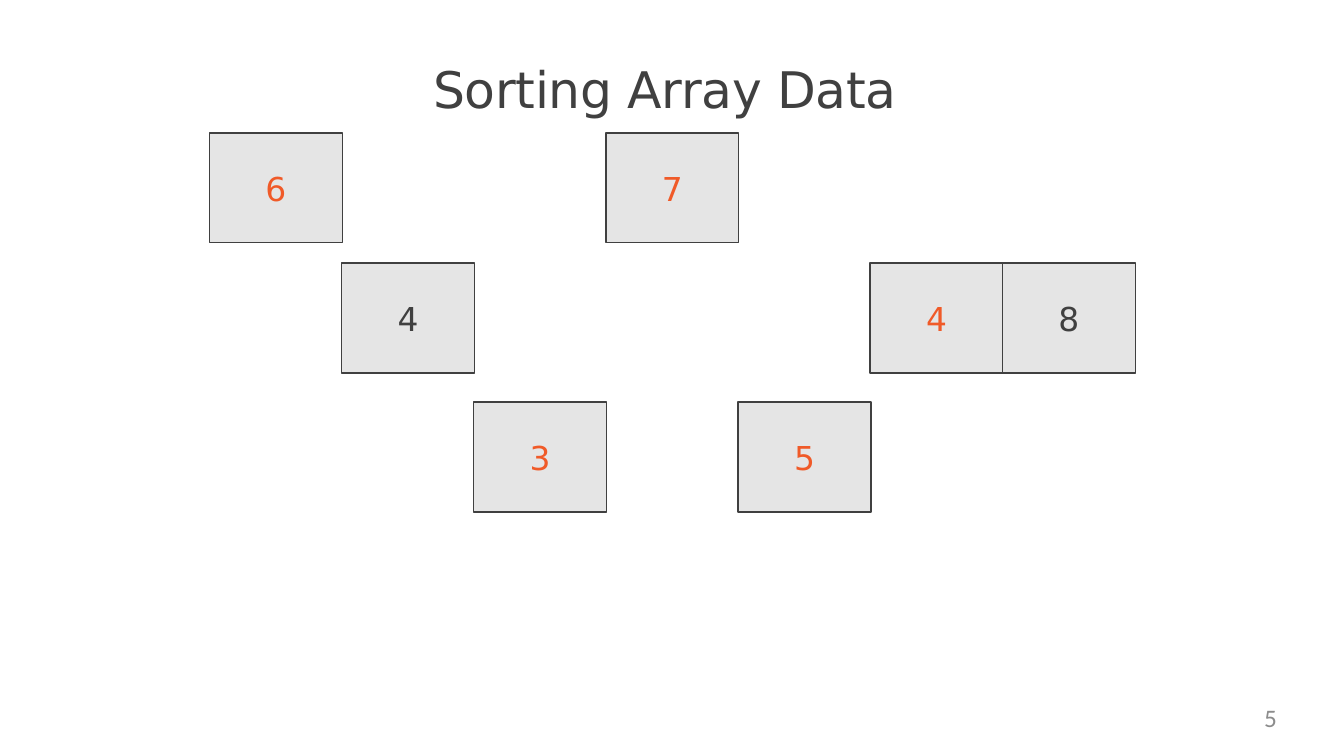
from dataclasses import dataclass
from typing import Any

from pptx import Presentation
from pptx.dml.color import RGBColor
from pptx.enum.shapes import MSO_SHAPE
from pptx.enum.text import MSO_ANCHOR as Anchor, MSO_AUTO_SIZE as AutoSize, PP_ALIGN as Align
from pptx.util import Cm, Pt

DARK = RGBColor(0x40, 0x40, 0x40)
ORANGE = RGBColor(0xF0, 0x5A, 0x28)
LIGHT = RGBColor(0xE5, 0xE5, 0xE5)
GRAY = RGBColor(0x8C, 0x8C, 0x8C)
FONT = "DejaVu Sans"

ARRAY_LEFT, COLUMN_STEP = 5.28, 3.33
CELL_W, CELL_H = Cm(3.35), Cm(2.77)
ROW_TOPS = (3.35, 6.63, 10.13)


@dataclass(frozen=True)
class ArrayCell:
    value: str
    row: int
    color: RGBColor


# One cell per array position, left to right
CELLS = (
    ArrayCell("6", 0, ORANGE),
    ArrayCell("4", 1, DARK),
    ArrayCell("3", 2, ORANGE),
    ArrayCell("7", 0, ORANGE),
    ArrayCell("5", 2, ORANGE),
    ArrayCell("4", 1, ORANGE),
    ArrayCell("8", 1, DARK),
)


def set_attributes(target: Any, **values: Any) -> None:
    for name, value in values.items():
        setattr(target, name, value)


def write_text(shape: Any, text: str, size: float, color: RGBColor, font: str = FONT,
               align: Align = Align.CENTER, anchor: Anchor = Anchor.MIDDLE,
               wrap: bool = True) -> None:
    tf = shape.text_frame
    set_attributes(tf, margin_left=0, margin_top=0, margin_right=0, margin_bottom=0,
                   word_wrap=wrap, auto_size=AutoSize.NONE, vertical_anchor=anchor)
    p = tf.paragraphs[0]
    p.alignment = align
    r = p.add_run()
    r.text = text
    set_attributes(r.font, name=font, size=Pt(size))
    r.font.color.rgb = color


def add_title(s: Any, text: str) -> None:
    title = s.shapes.title
    set_attributes(title, left=Cm(10.92), top=Cm(1.47), width=Cm(11.79), height=Cm(1.6))
    write_text(title, text, 36, DARK, align=Align.LEFT, anchor=Anchor.TOP, wrap=False)
    title.text_frame.paragraphs[0].runs[0].font._element.set("spc", "-25")


def add_cell(s: Any, column: int, cell: ArrayCell) -> None:
    sp = s.shapes.add_shape(MSO_SHAPE.RECTANGLE, Cm(ARRAY_LEFT + column * COLUMN_STEP),
                            Cm(ROW_TOPS[cell.row]), CELL_W, CELL_H)
    sp.shadow.inherit = False
    sp.fill.solid()
    sp.fill.fore_color.rgb = LIGHT
    sp.line.color.rgb = DARK
    sp.line.width = Pt(1)
    write_text(sp, cell.value, 23.5, cell.color)


def main() -> None:
    prs = Presentation()
    set_attributes(prs, slide_width=Cm(33.87), slide_height=Cm(19.05))
    s = prs.slides.add_slide(prs.slide_layouts[5])
    add_title(s, "Sorting Array Data")
    for column, cell in enumerate(CELLS):
        add_cell(s, column, cell)
    number = s.shapes.add_textbox(Cm(24.38), Cm(17.7), Cm(7.8), Cm(0.95))
    write_text(number, "5", 18, GRAY, font="Calibri", align=Align.RIGHT, anchor=Anchor.TOP)
    prs.save("out.pptx")


if __name__ == "__main__":
    main()
